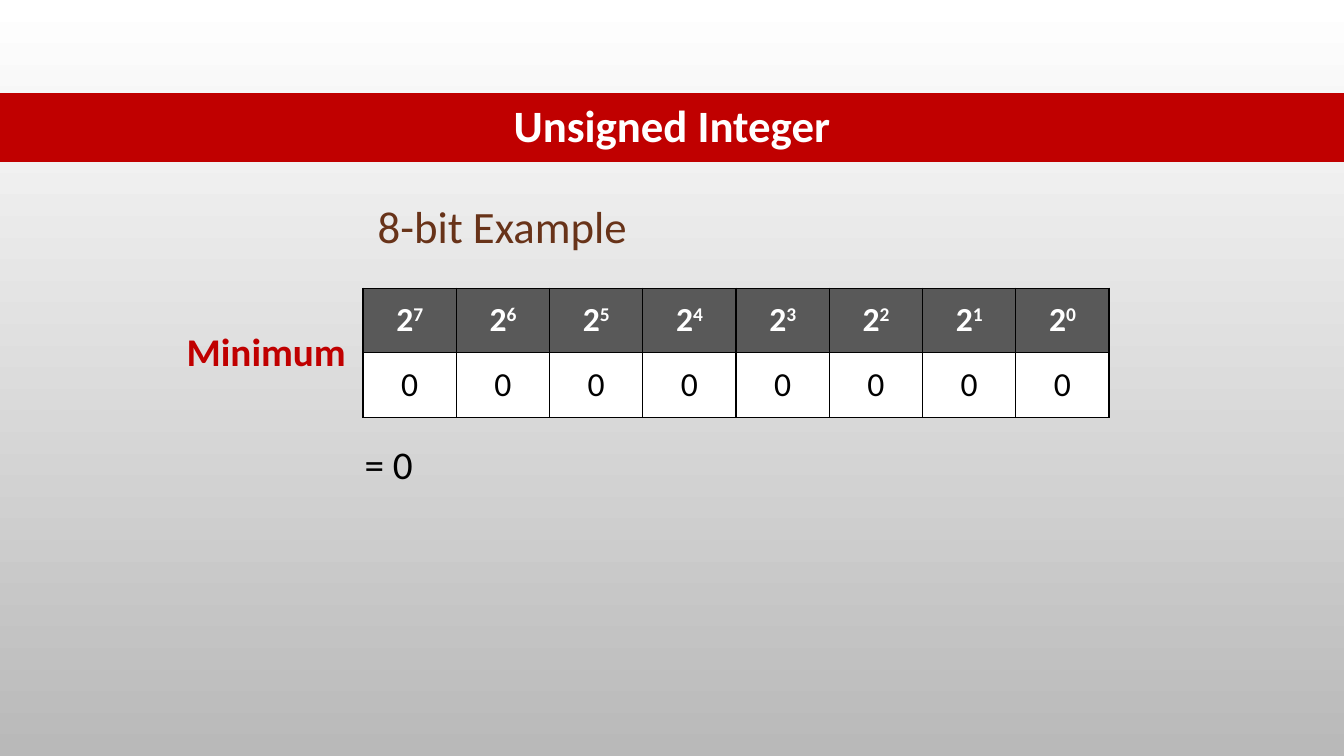
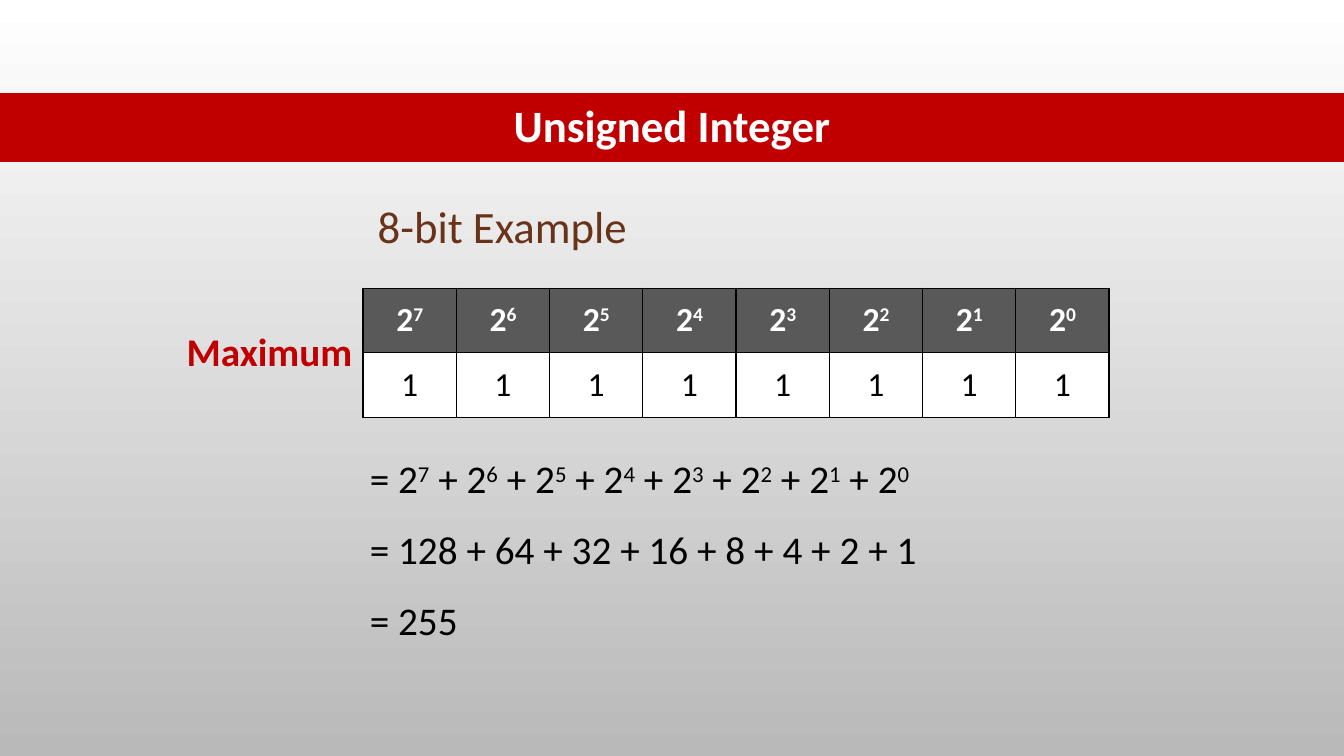
import pptx
import pptx.dml.color
import pptx.enum.text
import pptx.oxml
import pptx.oxml.ns
import pptx.util

Cm = pptx.util.Cm
ALIGN = pptx.enum.text.PP_ALIGN
WIDTH, HEIGHT = 33.87, 19.05
BITS = 8


def rgb(value):
    return pptx.dml.color.RGBColor.from_string(value)


class Deck:
    FONT = "Calibri"
    BACKGROUND = ("FFFFFF", "B9B9B9")
    BAND, HEADER, CELL, BORDER = "C00000", "595959", "FFFFFF", "000000"
    TITLE = {"size": 32, "bold": True, "color": "FFFFFF"}
    SUBTITLE = {"size": 32, "bold": False, "color": "683319"}
    LABEL = {"size": 28, "bold": True, "color": "C00000"}
    POWER = {"size": 24, "bold": True, "color": "FFFFFF"}
    BIT = {"size": 24, "bold": False, "color": "000000"}
    BODY = {"size": 28, "bold": False, "color": "000000"}

    def __init__(self):
        self.prs = pptx.Presentation()
        self.prs.slide_width, self.prs.slide_height = Cm(WIDTH), Cm(HEIGHT)
        fill = self.prs.slide_master.background.fill
        fill.gradient()
        fill.gradient_angle = 270
        for stop, color in zip(fill.gradient_stops, self.BACKGROUND):
            stop.color.rgb = rgb(color)

    def add_slide(self, title):
        self.s = self.prs.slides.add_slide(self.prs.slide_layouts[6])
        tbl = self.table(0, 2.34, [WIDTH], [1.75])
        self.cell(tbl.cell(0, 0), title, self.TITLE, self.BAND, sides="")

    def add_run(self, p, text, style, raised=False):
        r = p.add_run()
        r.text = text
        values = {"name": self.FONT, "size": pptx.util.Pt(style["size"]), "bold": style["bold"]}
        for name, value in values.items():
            setattr(r.font, name, value)
        r.font.color.rgb = rgb(style["color"])
        if raised:
            r._r.get_or_add_rPr().set("baseline", "30000")

    def add_runs(self, p, text, style):
        for i, part in enumerate(text.split("^")):
            if i:
                self.add_run(p, part[0], style, raised=True)
                part = part[1:]
            if part:
                self.add_run(p, part, style)

    def text(self, x, y, w, h, lines, style, spacing=1.0):
        tf = self.s.shapes.add_textbox(Cm(x), Cm(y), Cm(w), Cm(h)).text_frame
        tf.word_wrap = True
        for i, line in enumerate(lines):
            p = tf.add_paragraph() if i else tf.paragraphs[0]
            p.line_spacing = spacing
            self.add_runs(p, line, style)

    def table(self, x, y, cols, rows):
        tbl = self.s.shapes.add_table(
            len(rows), len(cols), Cm(x), Cm(y), Cm(sum(cols)), Cm(sum(rows))).table
        tbl.first_row = tbl.horz_banding = False
        for col, w in zip(tbl.columns, cols):
            col.width = Cm(w)
        for row, h in zip(tbl.rows, rows):
            row.height = Cm(h)
        return tbl

    def cell(self, cell, text, style, fill=None, align=ALIGN.CENTER, sides="LRTB"):
        self.borders(cell, sides)
        if fill:
            cell.fill.solid()
            cell.fill.fore_color.rgb = rgb(fill)
        else:
            cell.fill.background()
        cell.vertical_anchor = pptx.enum.text.MSO_ANCHOR.MIDDLE
        p = cell.text_frame.paragraphs[0]
        p.alignment = align
        self.add_runs(p, text, style)

    def borders(self, cell, sides):
        tc_pr = cell._tc.get_or_add_tcPr()
        ns = pptx.oxml.ns.nsdecls("a")
        for side in "LRTB":
            paint = "<a:noFill/>"
            if side in sides:
                paint = f'<a:solidFill><a:srgbClr val="{self.BORDER}"/></a:solidFill>'
            tc_pr.append(pptx.oxml.parse_xml(f'<a:ln{side} {ns} w="12700">{paint}</a:ln{side}>'))

    def bit_table(self, label, bit):
        tbl = self.table(4.45, 7.26, [4.7] + [2.35] * BITS, [1.63] * 2)
        tbl.cell(0, 0).merge(tbl.cell(1, 0))
        for row, text in enumerate((label, "")):
            self.cell(tbl.cell(row, 0), text, self.LABEL, align=ALIGN.LEFT, sides="R")
        for col in range(1, BITS + 1):
            self.cell(tbl.cell(0, col), f"2^{BITS - col}", self.POWER, self.HEADER)
            self.cell(tbl.cell(1, col), bit, self.BIT, self.CELL)

    def example(self, label, bit):
        self.add_slide("Unsigned Integer")
        self.bit_table(label, bit)
        self.text(9.27, 4.88, 6.93, 1.63, ["8-bit Example"], self.SUBTITLE)


def main():
    deck = Deck()
    deck.example("Minimum", "0")
    deck.text(8.94, 10.97, 2.01, 1.45, ["= 0"], deck.BODY)

    deck.example("Maximum", "1")
    exponents = range(BITS - 1, -1, -1)
    lines = [
        "= " + " + ".join(f"2^{n}" for n in exponents),
        "= " + " + ".join(str(2 ** n) for n in exponents),
        f"= {2 ** BITS - 1}",
    ]
    deck.text(9.07, 10.74, 18.06, 5.64, lines, deck.BODY, spacing=1.5)
    deck.prs.save("out.pptx")


if __name__ == "__main__":
    main()
